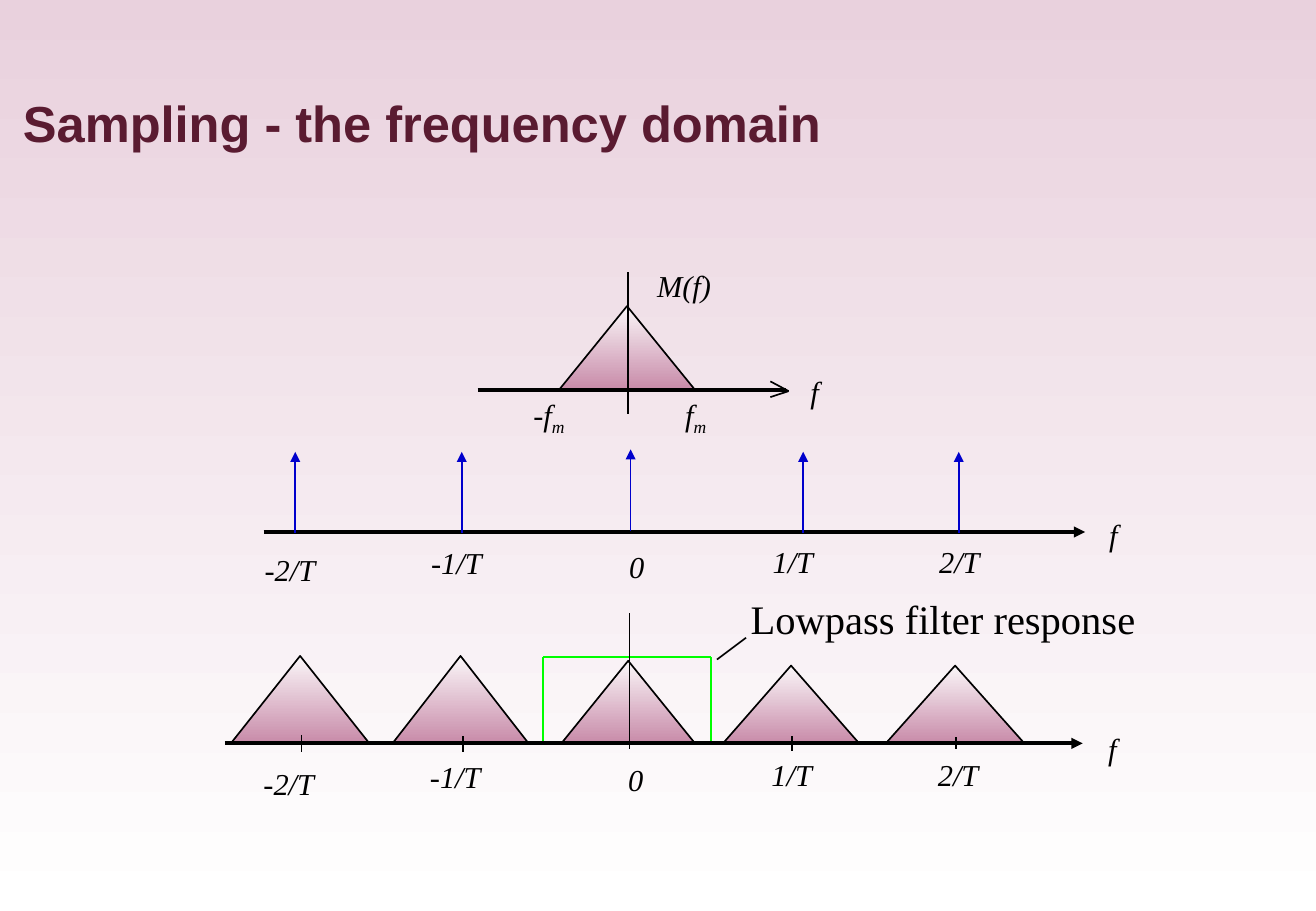
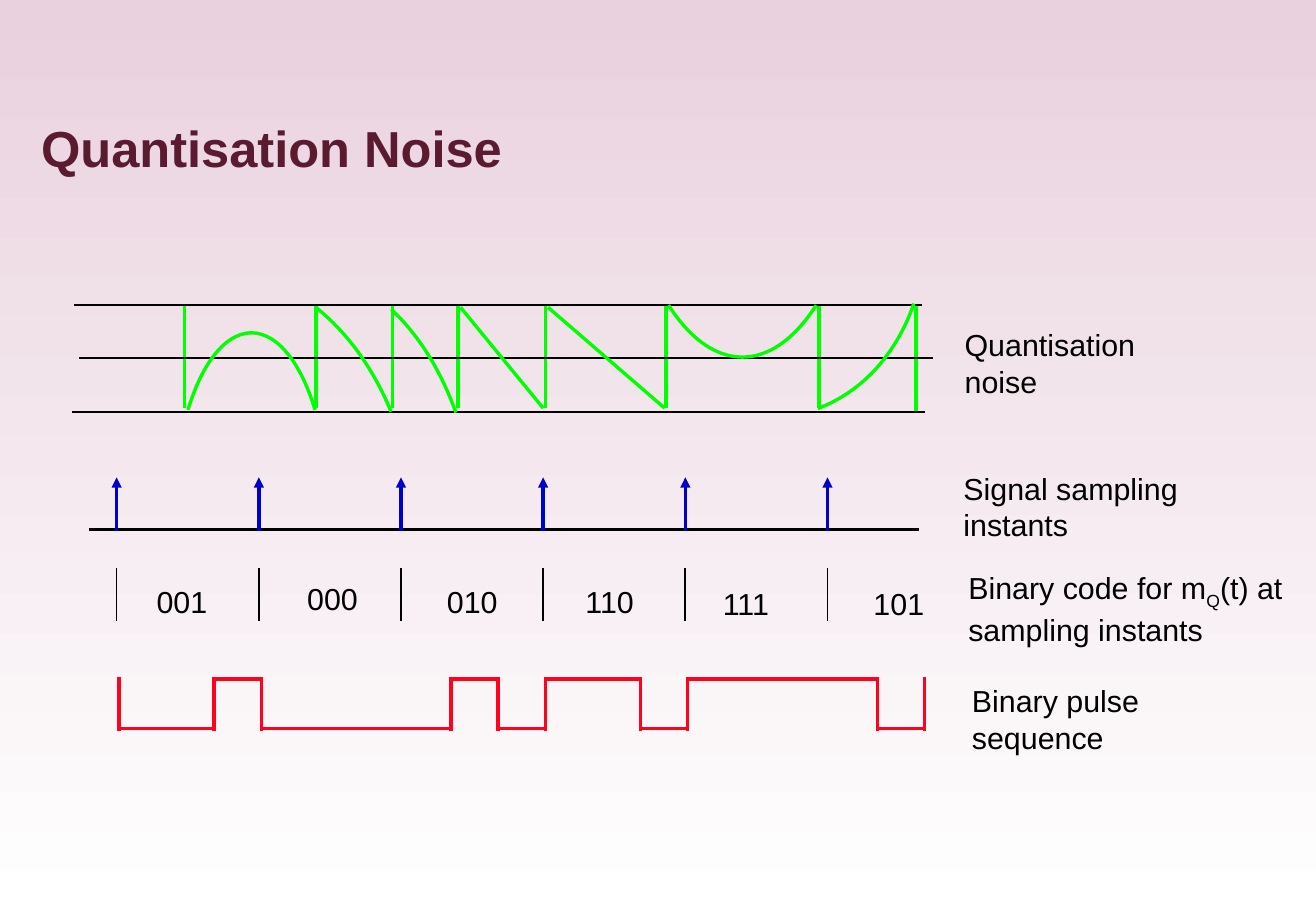
"""Build two slides on sampling and quantisation noise."""
from itertools import groupby
from math import atan2, degrees

from lxml import etree
from pptx import Presentation
from pptx.dml.color import RGBColor
from pptx.enum import shapes, text
from pptx.oxml.ns import qn
from pptx.util import Inches, Pt

PLUM = RGBColor(0x5A, 0x1B, 0x31)
PINK = RGBColor(0xE9, 0xD1, 0xDD)
WHITE = RGBColor(0xFF, 0xFF, 0xFF)
PALE = RGBColor(0xFA, 0xF6, 0xF8)
ROSE = RGBColor(0xC8, 0x8B, 0xA9)
BLACK = RGBColor(0, 0, 0)
GREEN = RGBColor(0, 0xFF, 0)
BLUE = RGBColor(0, 0, 0xCC)
RED = RGBColor(0xFF, 0x02, 0x1D)
SANS, SERIF = "Arial", "Times New Roman"


def shade(fill, upper, lower):
    """Fill with a gradient that runs from top to bottom."""
    fill.gradient()
    fill.gradient_angle = 270
    for stop, colour in zip(fill.gradient_stops, (upper, lower)):
        stop.color.rgb = colour


def line(slide, start, end, colour=BLACK, width=1, arrow=False):
    """Draw a straight line, with an arrowhead at its end if asked."""
    stroke = slide.shapes.add_connector(
        shapes.MSO_CONNECTOR.STRAIGHT, *map(Inches, (*start, *end)))
    stroke.line.color.rgb = colour
    stroke.line.width = Pt(width)
    if arrow:
        outline = stroke.line._get_or_add_ln()
        etree.SubElement(outline, qn("a:tailEnd"), type="triangle")
    etree.SubElement(stroke._element.spPr, qn("a:effectLst"))


def label(slide, box, *paragraphs, font=SANS, size=18, colour=BLACK,
          italic=False, bold=False, wrap=False):
    """Write paragraphs of runs in which every second run is a subscript."""
    frame = slide.shapes.add_textbox(*map(Inches, box)).text_frame
    frame.word_wrap = wrap
    frame.auto_size = text.MSO_AUTO_SIZE.SHAPE_TO_FIT_TEXT
    for number, words in enumerate(paragraphs):
        paragraph = frame.add_paragraph() if number else frame.paragraphs[0]
        for position, part in enumerate(words):
            run = paragraph.add_run()
            run.text = part
            run.font.name, run.font.size = font, Pt(size)
            run.font.bold, run.font.italic = bold, italic
            run.font.color.rgb = colour
            if position % 2:
                run._r.get_or_add_rPr().set("baseline", "-25000")
    return frame


def symbol(slide, box, *runs):
    """Write a mathematical label in italics."""
    label(slide, box, runs, font=SERIF, italic=True)


def triangle(slide, box):
    """Draw one shaded triangular spectrum."""
    spectrum = slide.shapes.add_shape(
        shapes.MSO_SHAPE.ISOSCELES_TRIANGLE, *map(Inches, box))
    spectrum.shadow.inherit = False
    shade(spectrum.fill, PALE, ROSE)
    spectrum.line.color.rgb = BLACK
    spectrum.line.width = Pt(1)


def arc(slide, centre, radii, start, end):
    """Draw a clockwise elliptical arc between two offsets from its centre."""
    (x, y), (across, down) = centre, radii
    error = slide.shapes.add_shape(
        shapes.MSO_SHAPE.ARC,
        *map(Inches, (x - across, y - down, 2 * across, 2 * down)))
    for index, (dx, dy) in enumerate((start, end)):
        error.adjustments[index] = degrees(atan2(dy, dx)) % 360 * 0.6
    error.shadow.inherit = False
    error.fill.background()
    error.line.color.rgb = GREEN
    error.line.width = Pt(2)


def titled_slide(deck, title, box):
    """Add a slide with the shared background and title style."""
    slide = deck.slides.add_slide(deck.slide_layouts[6])
    shade(slide.background.fill, PINK, WHITE)
    heading = label(slide, box, [title], size=30, colour=PLUM, bold=True,
                    wrap=True)
    heading.auto_size = text.MSO_AUTO_SIZE.NONE
    heading.vertical_anchor = text.MSO_ANCHOR.MIDDLE
    return slide


def frequency_labels(slide, left, top):
    """Label the multiples of the sampling frequency and the axis."""
    for name, x, y, width in (
            ("0", 3, 0.04, 0.41), ("1/T", 4.18, 0, 0.62),
            ("2/T", 5.55, 0, 0.62), ("f", 6.95, -0.22, 0.38),
            ("-1/T", 1.37, 0.01, 0.7), ("-2/T", 0, 0.07, 0.7)):
        symbol(slide, (left + x, top + y, width, 0.4), name)


def message_spectrum(slide, left, top):
    """Draw the band-limited message spectrum."""
    axis, tip = top + 0.97, left + 2.56
    triangle(slide, (left + 0.67, top + 0.28, 1.12, 0.69))
    line(slide, (left + 1.24, top), (left + 1.24, top + 1.17))
    line(slide, (left, axis), (left + 2.54, axis), width=2.25)
    for rise in (0.05, -0.08):
        line(slide, (tip, axis + 0.01), (tip - 0.15, axis + 0.01 + rise))
    symbol(slide, (left + 1.38, top - 0.09, 0.73, 0.4), "M(f)")
    symbol(slide, (left + 2.64, top + 0.78, 0.38, 0.4), "f")
    symbol(slide, (left + 0.36, axis, 0.55, 0.4), "-f", "m")
    symbol(slide, (left + 1.61, axis, 0.48, 0.4), "f", "m")


def impulse_spectrum(slide, left, top):
    """Draw the impulses of the sampling signal."""
    axis = top + 0.68
    frequency_labels(slide, left - 0.09, axis + 0.04)
    line(slide, (left, axis), (left + 6.76, axis), width=2.25, arrow=True)
    for x, lift in ((0.26, 0), (1.63, 0), (3.02, 0.02), (4.44, 0), (5.72, 0)):
        line(slide, (left + x, axis + 0.01 - lift),
             (left + x, axis - 0.66 - lift), BLUE, arrow=True)


def sampled_spectrum(slide, left, top):
    """Draw the repeated spectra and the lowpass filter around zero."""
    axis, height = top + 1.07, 0.36
    low, high = left + 2.62, left + 4
    for x in (low, high):
        line(slide, (x, axis), (x, top + height), GREEN)
    line(slide, (low, top + height), (high, top + height), GREEN)
    label(slide, (left + 4.23, top - 0.21, 3.4, 0.5),
          ["Lowpass filter response"], font=SERIF, size=24)
    line(slide, (left + 4.29, top + 0.2), (left + 4.05, top + 0.38))
    for x, width, rise in ((0.05, 1.14, 0.72), (1.38, 1.12, 0.72),
                           (2.77, 1.1, 0.68), (4.1, 1.12, 0.64),
                           (5.44, 1.14, 0.64)):
        triangle(slide, (left + x, axis - rise, width, rise))
    line(slide, (left + 3.33, top), (left + 3.33, top + 1.12))
    for x, rise, drop in ((0.63, 0.07, 0.07), (1.96, 0.06, 0.07),
                          (4.67, 0.06, 0.06), (6.02, 0.05, 0.05)):
        line(slide, (left + x, axis - rise), (left + x, axis + drop))
    frequency_labels(slide, left + 0.22, axis + 0.06)
    line(slide, (left, axis), (left + 7.06, axis), width=2.25, arrow=True)


def quantisation_noise(slide, left, top):
    """Draw the error signal between its limits."""
    for x in (0.92, 2, 2.63, 3.17, 3.89, 4.88, 6.14, 6.94):
        bottom = 0.9 if x == 6.94 else 0.86
        line(slide, (left + x, top + 0.02), (left + x, top + bottom), GREEN, 2)
    for start, end, y in ((0.01, 6.99, 0.01), (0.05, 7.08, 0.45),
                          (-0.01, 7.01, 0.89)):
        line(slide, (left + start, top + y), (left + end, top + y))
    for start, end in ((3.19, 3.87), (3.91, 4.87)):
        line(slide, (left + start, top + 0.03), (left + end, top + 0.86),
             GREEN, 2)
    for x, y, radii, start, end in (
            (1.47, 1.74, (0.64, 1.5), (-0.52, -0.86), (0.52, -0.86)),
            (1.13, 1.99, (1.7, 2.28), (0.88, -1.95), (1.49, -1.1)),
            (1.83, 1.96, (1.5, 2.25), (0.79, -1.91), (1.32, -1.06)),
            (5.51, -1.78, (1.03, 2.22), (0.61, 1.8), (-0.61, 1.8)),
            (5.76, -0.55, (1.25, 1.48), (1.16, 0.55), (0.37, 1.41))):
        arc(slide, (left + x, top + y), radii, start, end)
    label(slide, (left + 7.24, top + 0.14, 1.78, 0.7),
          ["Quantisation noise"], wrap=True)


def sampling_instants(slide, left, top, count, spacing):
    """Draw evenly spaced sampling arrows and the ticks below them."""
    line(slide, (left - 0.23, top + 0.43), (left + 6.6, top + 0.43), width=2)
    for index in range(count):
        x = left + index * spacing
        line(slide, (x, top + 0.44), (x, top), BLUE, 2, arrow=True)
        line(slide, (x, top + 1.18), (x, top + 0.75))
    label(slide, (left + 6.87, top - 0.11, 2.71, 0.7),
          ["Signal sampling instants"], wrap=True)


def binary_codes(slide, left, top, codes):
    """Write the code of each sample."""
    places = ((0.23, 0.02), (1.47, 0), (2.62, 0.02),
              (3.76, 0.02), (4.89, 0.04), (6.13, 0.04))
    for code, (x, y) in zip(codes, places):
        label(slide, (left + x, top + y, 0.63, 0.4), [code])
    label(slide, (left + 6.91, top - 0.09, 2.91, 0.7),
          ["Binary code for m", "Q", "(t) at sampling instants"], wrap=True)


def pulse_sequence(slide, left, top, bits, bit_width):
    """Draw the bits as a train of rectangular pulses."""
    x = left
    line(slide, (x, top + 0.45), (x, top), RED, 2)
    for bit, run in groupby(bits):
        end = x + bit_width * len(list(run))
        level = top + (0.02 if bit == "1" else 0.43)
        line(slide, (x, level), (end, level), RED, 2)
        line(slide, (end, top + 0.45), (end, top), RED, 2)
        x = end
    label(slide, (left + 6.92, top, 1.59, 0.7), ["Binary pulse"], ["sequence"])


def main():
    """Build and save the deck."""
    deck = Presentation()
    deck.slide_width, deck.slide_height = Inches(10.83), Inches(7.5)

    sampling = titled_slide(deck, "Sampling - the frequency domain",
                            (0.09, 0.58, 10.65, 0.85))
    sampled_spectrum(sampling, 1.85, 5.05)
    message_spectrum(sampling, 3.93, 2.24)
    impulse_spectrum(sampling, 2.17, 3.7)

    noise = titled_slide(deck, "Quantisation Noise", (0.24, 0.88, 10.3, 0.67))
    codes = ("001", "000", "010", "110", "111", "101")
    spacing = 1.17
    quantisation_noise(noise, 0.6, 2.5)
    sampling_instants(noise, 0.96, 3.93, len(codes), spacing)
    binary_codes(noise, 0.96, 4.73, codes)
    pulse_sequence(noise, 0.98, 5.57, "".join(codes)[:-1], spacing / 3)

    deck.save("out.pptx")


main()
